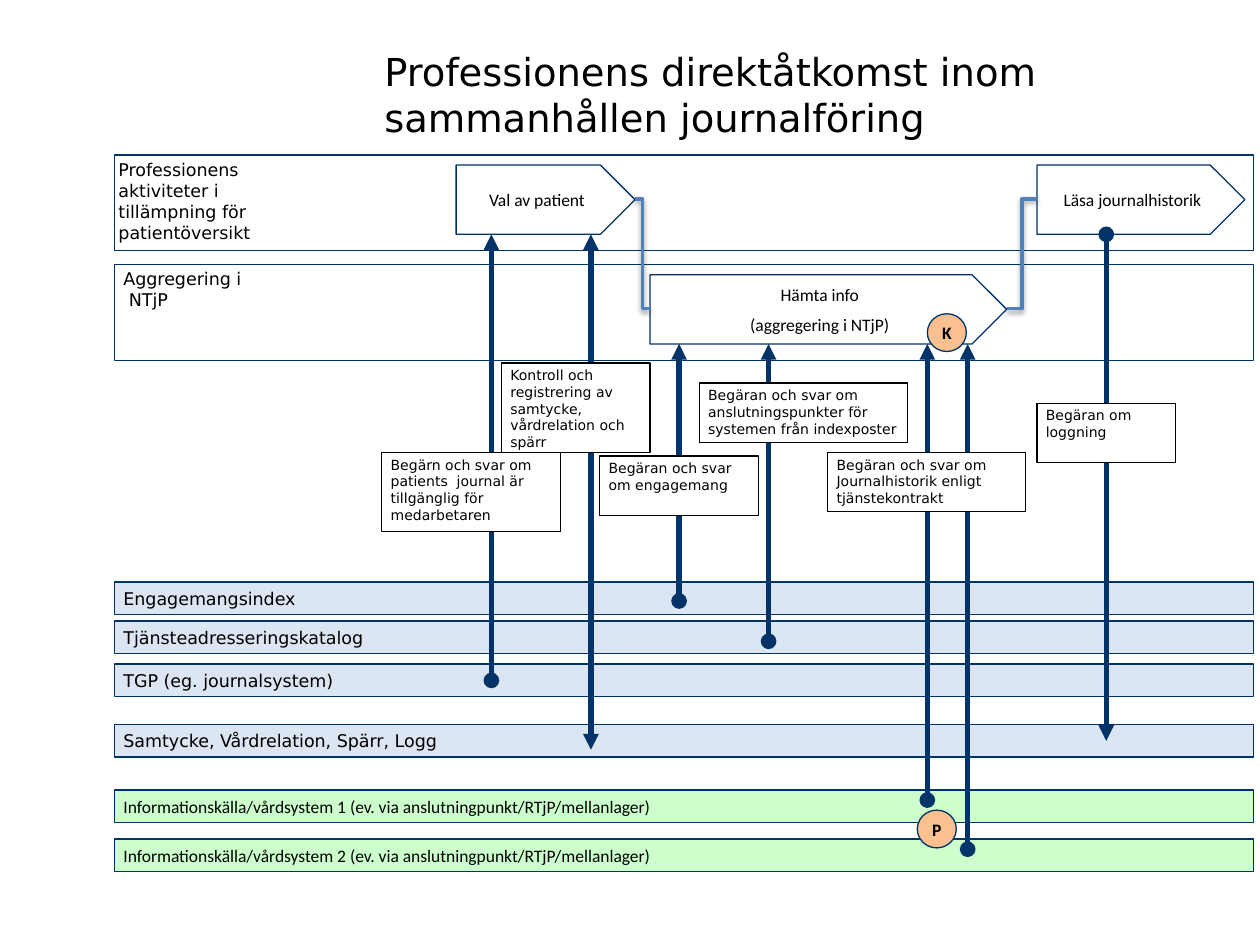
from lxml.etree import SubElement
from pptx import Presentation
from pptx.dml.color import RGBColor
from pptx.enum.shapes import MSO_CONNECTOR, MSO_SHAPE
from pptx.enum.text import MSO_ANCHOR, PP_ALIGN
from pptx.oxml.ns import qn
from pptx.util import Inches, Pt

NAVY = RGBColor(0x00, 0x34, 0x68)
BLUE = RGBColor(0x4F, 0x81, 0xBD)
PALE_BLUE = RGBColor(0xDC, 0xE6, 0xF2)
GREEN = RGBColor(0xCC, 0xFF, 0xCC)
ORANGE = RGBColor(0xFA, 0xC0, 0x90)
WHITE = RGBColor(0xFF, 0xFF, 0xFF)
BLACK = RGBColor(0, 0, 0)
SANS, CALIBRI = "DejaVu Sans", "Calibri"

TITLE = "Professionens direktåtkomst inom sammanhållen journalföring"
LANE_X, LANE_W, LANE_H, BAND_H = 0.91, 9.04, 0.76, 0.26
SOURCE = "Informationskälla/vårdsystem {} (ev. via anslutningpunkt/RTjP/mellanlager)"

# Lane top, label left, label width, label height, label
LANES = [
    (1.23, 0.87, 1.69, 0.74,
     "Professionens aktiviteter i tillämpning för patientöversikt"),
    (2.1, 0.91, 1.1, 0.41, "Aggregering i\v NTjP"),
]
# Top, text, fill, font
BANDS = [
    (4.62, "Engagemangsindex", PALE_BLUE, SANS),
    (4.93, "Tjänsteadresseringskatalog", PALE_BLUE, SANS),
    (5.27, "TGP (eg. journalsystem)", PALE_BLUE, SANS),
    (5.75, "Samtycke, Vårdrelation, Spärr, Logg", PALE_BLUE, SANS),
    (6.27, SOURCE.format(1), GREEN, CALIBRI),
    (6.66, SOURCE.format(2), GREEN, CALIBRI),
]
# Left, top, width, text
ACTIVITIES = [
    (3.62, 1.31, 1.42, "Val av patient"),
    (5.16, 2.18, 2.83, "Hämta info\n(aggregering i NTjP)"),
    (8.23, 1.31, 1.65, "Läsa journalhistorik"),
]
ACTIVITY_H = 0.55
FLOWS = [(5.04, 1.58, 5.16, 2.45), (7.99, 2.45, 8.23, 1.58)]
# X, top, bottom, upper end, lower end
ARROWS = [
    (3.9, 1.86, 5.4, "triangle", "oval"),
    (4.69, 1.86, 5.95, "triangle", "triangle"),
    (5.39, 2.73, 4.77, "triangle", "oval"),
    (6.1, 2.73, 5.09, "triangle", "oval"),
    (7.36, 2.73, 6.35, "triangle", "oval"),
    (7.68, 2.73, 6.74, "triangle", "oval"),
    (8.78, 1.86, 5.88, "oval", "triangle"),
]
# Left, top, width, height, text
NOTES = [
    (3.03, 3.59, 1.42, 0.63,
     "Begärn och svar om patients  journal är tillgänglig för medarbetaren"),
    (3.98, 2.88, 1.18, 0.71,
     "Kontroll och registrering av samtycke, vårdrelation och spärr"),
    (4.76, 3.62, 1.26, 0.47, "Begäran och svar om engagemang"),
    (5.55, 3.04, 1.65, 0.47,
     "Begäran och svar om anslutningspunkter för systemen från indexposter"),
    (8.23, 3.2, 1.1, 0.47, "Begäran om loggning"),
    (6.57, 3.59, 1.57, 0.47,
     "Begäran och svar om Journalhistorik enligt tjänstekontrakt"),
]
MARKERS = [(7.28, 6.43, "P"), (7.36, 2.49, "K")]


def set_text(sp, text, font=SANS, size=10, anchor=MSO_ANCHOR.MIDDLE,
             align=PP_ALIGN.LEFT, bold=False):
    """Write text with narrow insets and one format for all runs."""
    tf = sp.text_frame
    tf.text = text
    tf.word_wrap = True
    tf.vertical_anchor = anchor
    tf.margin_left = tf.margin_right = Inches(0.07)
    tf.margin_top = tf.margin_bottom = Inches(0.03)
    for i, p in enumerate(tf.paragraphs):
        p.alignment = align
        if i:
            p.space_before = Pt(5)
        for r in p.runs:
            r.font.name, r.font.size, r.font.bold = font, Pt(size), bold
            r.font.color.rgb = BLACK


def add_box(s, kind, x, y, w, h, fill=None, line=NAVY):
    """Add an outlined shape, unfilled when fill is None."""
    sp = s.shapes.add_shape(kind, Inches(x), Inches(y), Inches(w), Inches(h))
    sp.shadow.inherit = False
    if fill is None:
        sp.fill.background()
    else:
        sp.fill.solid()
        sp.fill.fore_color.rgb = fill
    sp.line.color.rgb = line
    sp.line.width = Pt(0.75)
    return sp


def add_line(s, kind, x1, y1, x2, y2, color, width):
    """Add a connector and return it with its empty effect list."""
    cn = s.shapes.add_connector(kind, Inches(x1), Inches(y1), Inches(x2), Inches(y2))
    cn.line.color.rgb = color
    cn.line.width = Pt(width)
    return cn, SubElement(cn._element.spPr, qn("a:effectLst"))


def add_arrow(s, x, top, bottom, upper, lower):
    """Add a vertical connector with the given end marks."""
    cn, _ = add_line(s, MSO_CONNECTOR.STRAIGHT, x, top, x, bottom, NAVY, 3)
    ln = cn.line._get_or_add_ln()
    for tag, mark in (("a:headEnd", upper), ("a:tailEnd", lower)):
        SubElement(ln, qn(tag), type=mark)


def add_flow(s, x1, y1, x2, y2):
    """Add a bent connector with a soft shadow below it."""
    _, effects = add_line(s, MSO_CONNECTOR.ELBOW, x1, y1, x2, y2, BLUE, 2)
    shadow = SubElement(effects, qn("a:outerShdw"), blurRad=str(Pt(3.1)),
                        dist=str(Pt(1.6)), dir="5400000", rotWithShape="0")
    color = SubElement(shadow, qn("a:srgbClr"), val=str(BLACK))
    SubElement(color, qn("a:alpha"), val="38000")


prs = Presentation()
prs.slide_width, prs.slide_height = Inches(10), Inches(7.5)
s = prs.slides.add_slide(prs.slide_layouts[5])

title = s.shapes.title
title.left, title.top = Inches(2.95), Inches(0.29)
title.width, title.height = Inches(6.65), Inches(0.92)
set_text(title, TITLE, size=22)
title.text_frame.margin_left = title.text_frame.margin_right = Inches(0.1)

for top, x, w, h, text in LANES:
    add_box(s, MSO_SHAPE.RECTANGLE, LANE_X, top, LANE_W, LANE_H)
    label = s.shapes.add_textbox(Inches(x), Inches(top), Inches(w), Inches(h))
    set_text(label, text, anchor=MSO_ANCHOR.TOP)

for top, text, fill, font in BANDS:
    band = add_box(s, MSO_SHAPE.RECTANGLE, LANE_X, top, LANE_W, BAND_H, fill)
    set_text(band, text, font)

for x, y, w, text in ACTIVITIES:
    activity = add_box(s, MSO_SHAPE.PENTAGON, x, y, w, ACTIVITY_H, WHITE)
    set_text(activity, text, CALIBRI, align=PP_ALIGN.CENTER)

for flow in FLOWS:
    add_flow(s, *flow)

for arrow in ARROWS:
    add_arrow(s, *arrow)

for x, y, w, h, text in NOTES:
    note = add_box(s, MSO_SHAPE.RECTANGLE, x, y, w, h, WHITE, BLACK)
    set_text(note, text, size=8, anchor=MSO_ANCHOR.TOP)

for x, y, text in MARKERS:
    marker = add_box(s, MSO_SHAPE.OVAL, x, y, 0.31, 0.3, ORANGE)
    set_text(marker, text, CALIBRI, align=PP_ALIGN.CENTER, bold=True)

prs.save("out.pptx")
